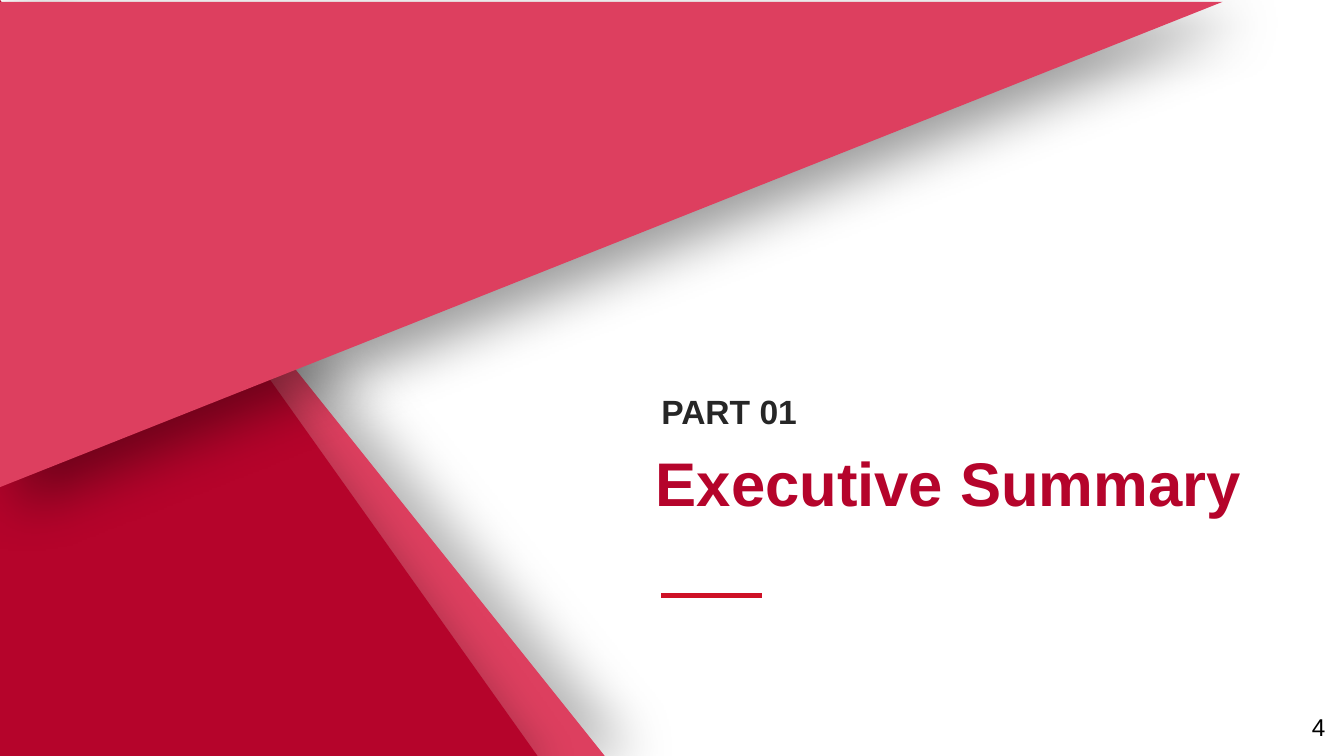
from lxml.etree import SubElement
from pptx import Presentation
from pptx.dml.color import RGBColor
from pptx.enum.shapes import MSO_CONNECTOR
from pptx.enum.text import MSO_ANCHOR, PP_ALIGN
from pptx.oxml.ns import qn
from pptx.util import Pt

COLORS = {"rose": "DD3F5F", "crimson": "B5042B", "rule": "CE1126",
          "label": "262626", "black": "000000"}
WIDTH, HEIGHT = 720, 405


def color(name):
    """Return the named colour."""
    return RGBColor.from_string(COLORS[name])


def add_shadow(shape, opacity, blur, distance, angle):
    """Give a shape a soft black outer shadow."""
    shape.shadow.inherit = False
    effects = shape._element.spPr.find(qn("a:effectLst"))
    shadow = SubElement(effects, qn("a:outerShdw"), blurRad=str(Pt(blur)),
                        dist=str(Pt(distance)), dir=str(angle * 60000),
                        algn="tl", rotWithShape="0")
    tint = SubElement(shadow, qn("a:srgbClr"), val=COLORS["black"])
    SubElement(tint, qn("a:alpha"), val=str(opacity * 1000))


def add_triangle(slide, corners, fill, shadow):
    """Draw a filled triangle with a shadow."""
    builder = slide.shapes.build_freeform(*corners[0], scale=Pt(1))
    builder.add_line_segments(corners[1:], close=True)
    triangle = builder.convert_to_shape()
    triangle.fill.solid()
    triangle.fill.fore_color.rgb = color(fill)
    triangle.line.fill.background()
    add_shadow(triangle, *shadow)


def add_backdrop(slide, left, top, width, height):
    """Layer the three triangles over the left and top of the box."""
    bottom = top + height
    for share, fill, shadow in ((0.45, "rose", (29, 30, 15, 0)),
                                (0.4, "crimson", (20, 20, 10, 45))):
        corners = [(left, top), (left + share * width, bottom), (left, bottom)]
        add_triangle(slide, corners, fill, shadow)
    top += 1
    corners = [(left, top), (left + 0.91 * width, top), (left, top + 260)]
    add_triangle(slide, corners, "rose", (40, 30, 15, 45))


def set_text(holder, box, text, size, ink, bold=False, align=PP_ALIGN.LEFT,
             margins=(5, 3)):
    """Place a text holder and format its one paragraph."""
    holder.left, holder.top, holder.width, holder.height = map(Pt, box)
    frame = holder.text_frame
    frame.text = text
    frame.word_wrap = True
    frame.vertical_anchor = MSO_ANCHOR.MIDDLE
    frame.margin_left = frame.margin_right = Pt(margins[0])
    frame.margin_top = frame.margin_bottom = Pt(margins[1])
    paragraph = frame.paragraphs[0]
    paragraph.alignment = align
    font = paragraph.font
    font.name, font.size, font.bold = "Arial", Pt(size), bold
    font.color.rgb = color(ink)


def add_heading(slide, left, top, width, height):
    """Stack the part label, section title and short rule in the box."""
    label = slide.shapes.add_textbox(0, 0, 0, 0)
    set_text(label, (left + 3, top, 96, 27), "PART 01", 18, "label", bold=True)
    set_text(slide.shapes.title, (left, top + 29, width, 45),
             "Executive Summary", 33, "crimson", bold=True)
    start, level = left + 8, top + height
    rule = slide.shapes.add_connector(MSO_CONNECTOR.STRAIGHT, Pt(start),
                                      Pt(level), Pt(start + 54), Pt(level))
    rule.line.color.rgb = color("rule")
    rule.line.width = Pt(3)
    SubElement(rule._element.spPr, qn("a:effectLst"))


def add_page_number(slide, *box):
    """Write the page number at the right of the box."""
    number = slide.shapes.add_textbox(0, 0, 0, 0)
    set_text(number, box, "4", 13, "black", align=PP_ALIGN.RIGHT, margins=(7.2, 7.2))


def main():
    """Build and save the section slide."""
    deck = Presentation()
    deck.slide_width, deck.slide_height = Pt(WIDTH), Pt(HEIGHT)
    slide = deck.slides.add_slide(deck.slide_layouts[5])
    add_backdrop(slide, 0, 0, WIDTH, HEIGHT)
    add_heading(slide, 346.3, 206.8, 343.4, 112.2)
    add_page_number(slide, 674, 373.7, 43, 31)
    deck.save("out.pptx")


if __name__ == "__main__":
    main()
